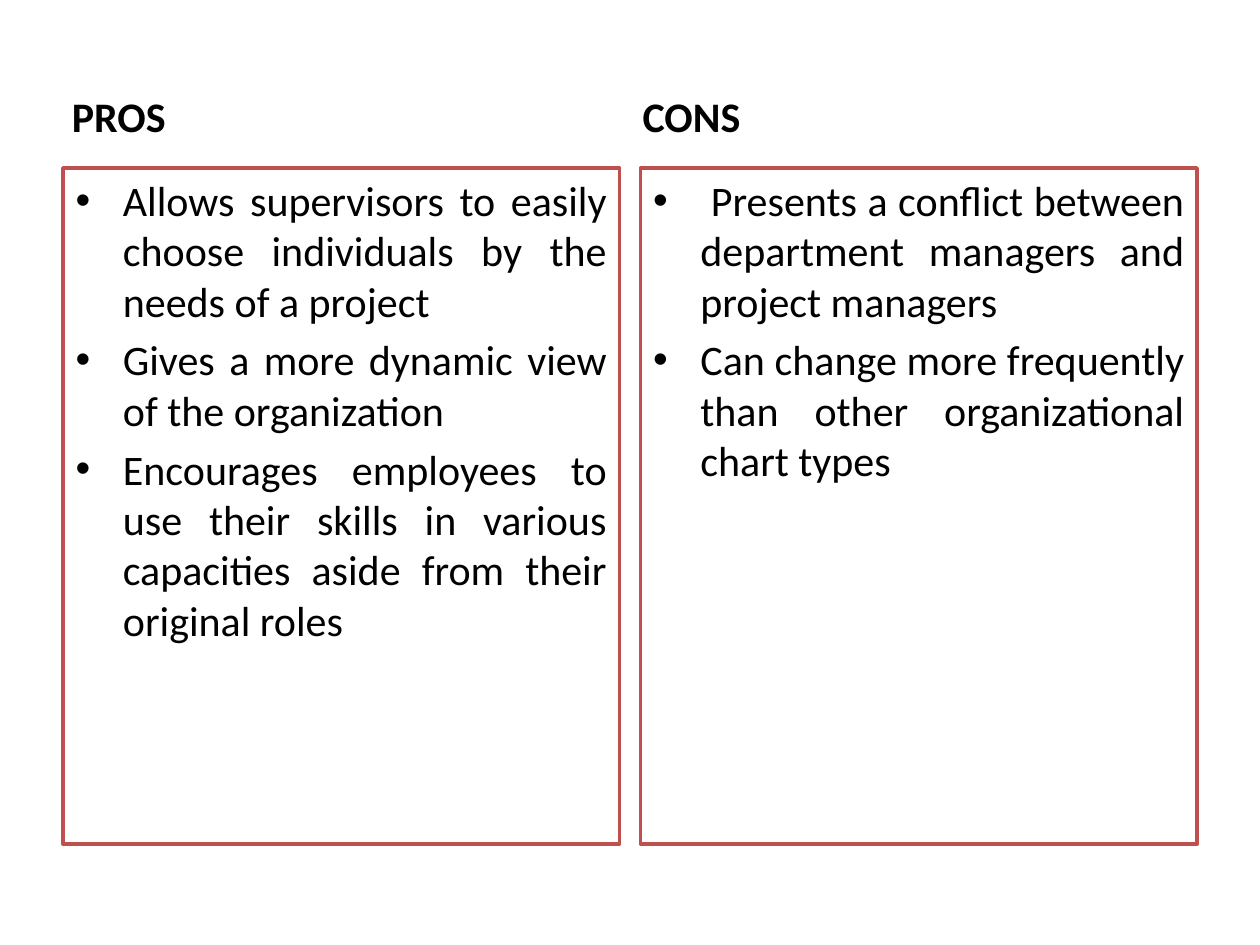
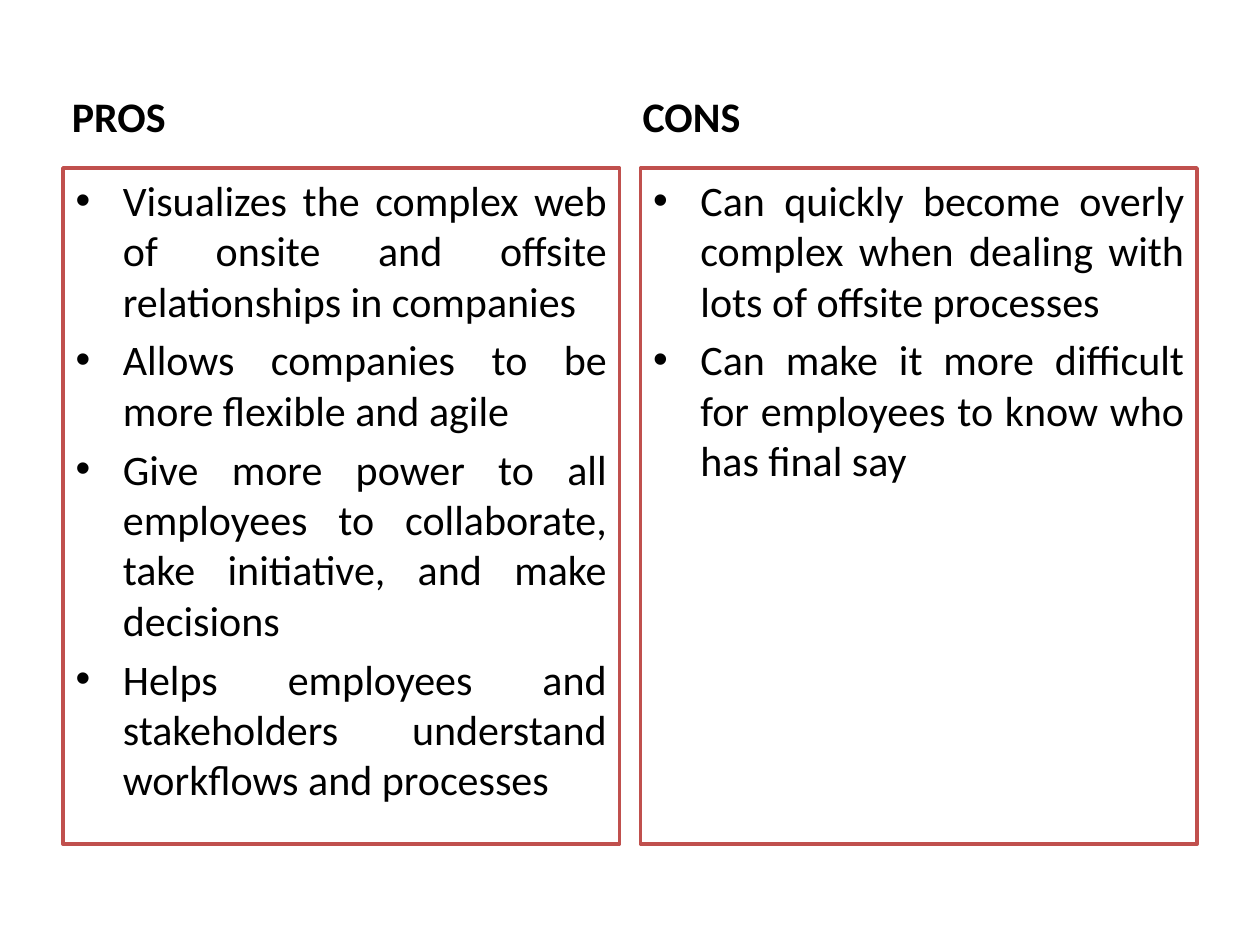
from dataclasses import dataclass

from pptx import Presentation
from pptx.dml.color import RGBColor
from pptx.enum.text import MSO_ANCHOR, MSO_AUTO_SIZE, PP_ALIGN
from pptx.util import Inches, Pt


@dataclass(frozen=True)
class Theme:
    font: str = "Calibri"
    size: int = 24
    ink: RGBColor = RGBColor(0, 0, 0)
    paper: RGBColor = RGBColor(255, 255, 255)
    edge: RGBColor = RGBColor(0xC0, 0x50, 0x4D)
    rule: int = 2


theme = Theme()

# Grid of 120 columns by 90 rows
deck = Presentation()
deck.slide_width, deck.slide_height = Inches(10), Inches(7.5)
col, row = deck.slide_width / 120, deck.slide_height / 90
wide = 53
head_top, head_tall = 5.64, 8.4
box_top, box_tall = 16, 64.4

# Each side: heading, its placeholder and column, list placeholder and column
sides = [
    ("PROS", 1, 5.64, 2, 6),
    ("CONS", 3, 60, 4, 61),
]

# Lists by slide, pros then cons
slides = [
    (
        [
            "Allows supervisors to easily choose individuals by the needs of a project",
            "Gives a more dynamic view of the organization",
            "Encourages employees to use their skills in various capacities"
            " aside from their original roles",
        ],
        [
            " Presents a conflict between department managers and project managers",
            "Can change more frequently than other organizational chart types",
        ],
    ),
    (
        [
            "Visualizes the complex web of onsite and offsite relationships in companies",
            "Allows companies to be more flexible and agile",
            "Give more power to all employees to collaborate, take initiative,"
            " and make decisions",
            "Helps employees and stakeholders understand workflows and processes",
        ],
        [
            "Can quickly become overly complex when dealing with lots of offsite processes",
            "Can make it more difficult for employees to know who has final say",
        ],
    ),
]


def style(item, **values):
    for name, value in values.items():
        setattr(item, name, value)


def write(shape, lines, spot, anchor, align, bold):
    left, top, width, height = spot
    style(shape, left=round(left * col), top=round(top * row),
          width=round(width * col), height=round(height * row))
    frame = shape.text_frame
    frame.text = "\n".join(lines)
    style(frame, word_wrap=True, auto_size=MSO_AUTO_SIZE.NONE, vertical_anchor=anchor)
    for para in frame.paragraphs:
        para.alignment = align
        for run in para.runs:
            style(run.font, name=theme.font, size=Pt(theme.size), bold=bold)
            run.font.color.rgb = theme.ink


for lists in slides:
    # Comparison layout, without its title
    slide = deck.slides.add_slide(deck.slide_layouts.get_by_name("Comparison"))
    title = slide.shapes.title.element
    title.getparent().remove(title)
    holders = {holder.placeholder_format.idx: holder for holder in slide.placeholders}

    for (label, head_id, head_left, box_id, box_left), points in zip(sides, lists):
        # Heading
        write(holders[head_id], [label], (head_left, head_top, wide, head_tall),
              MSO_ANCHOR.BOTTOM, PP_ALIGN.LEFT, True)

        # Framed list
        box = holders[box_id]
        write(box, points, (box_left, box_top, wide, box_tall),
              MSO_ANCHOR.TOP, PP_ALIGN.JUSTIFY, False)
        box.fill.solid()
        box.fill.fore_color.rgb = theme.paper
        box.line.color.rgb = theme.edge
        box.line.width = Pt(theme.rule)

deck.save("out.pptx")
